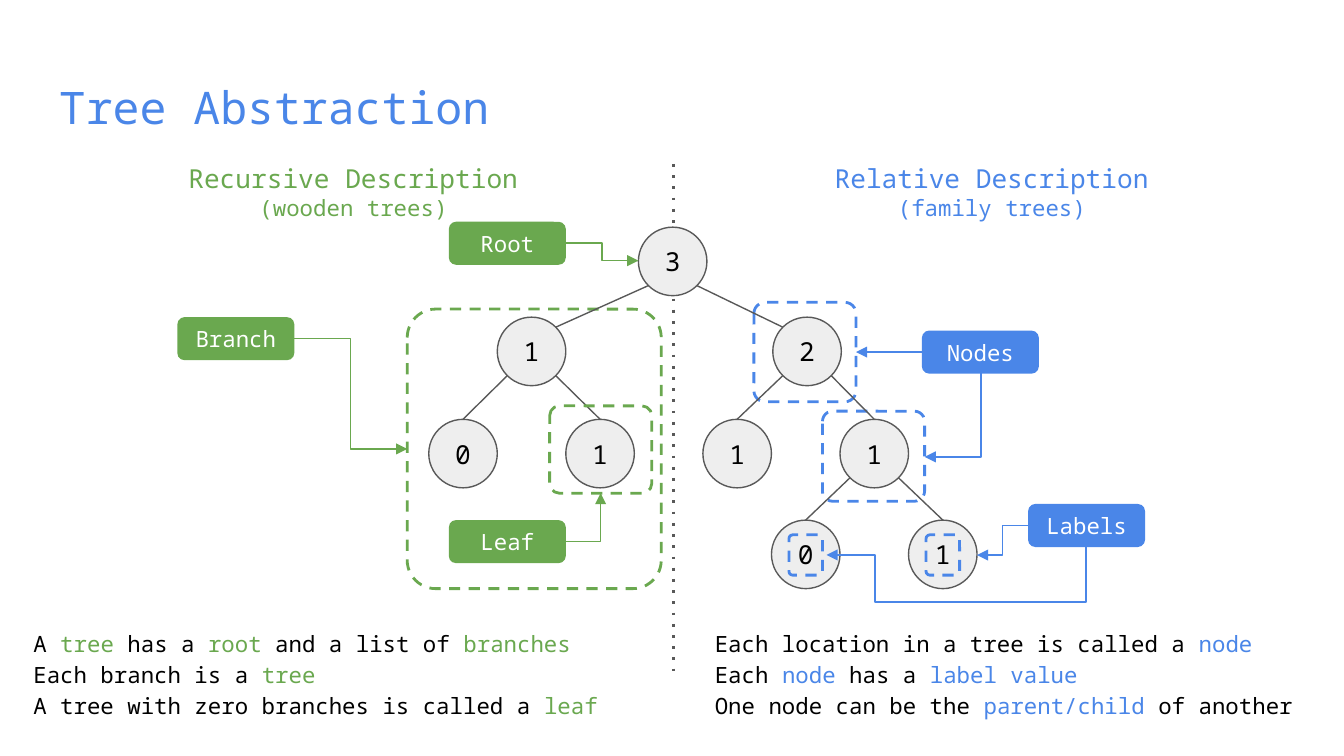
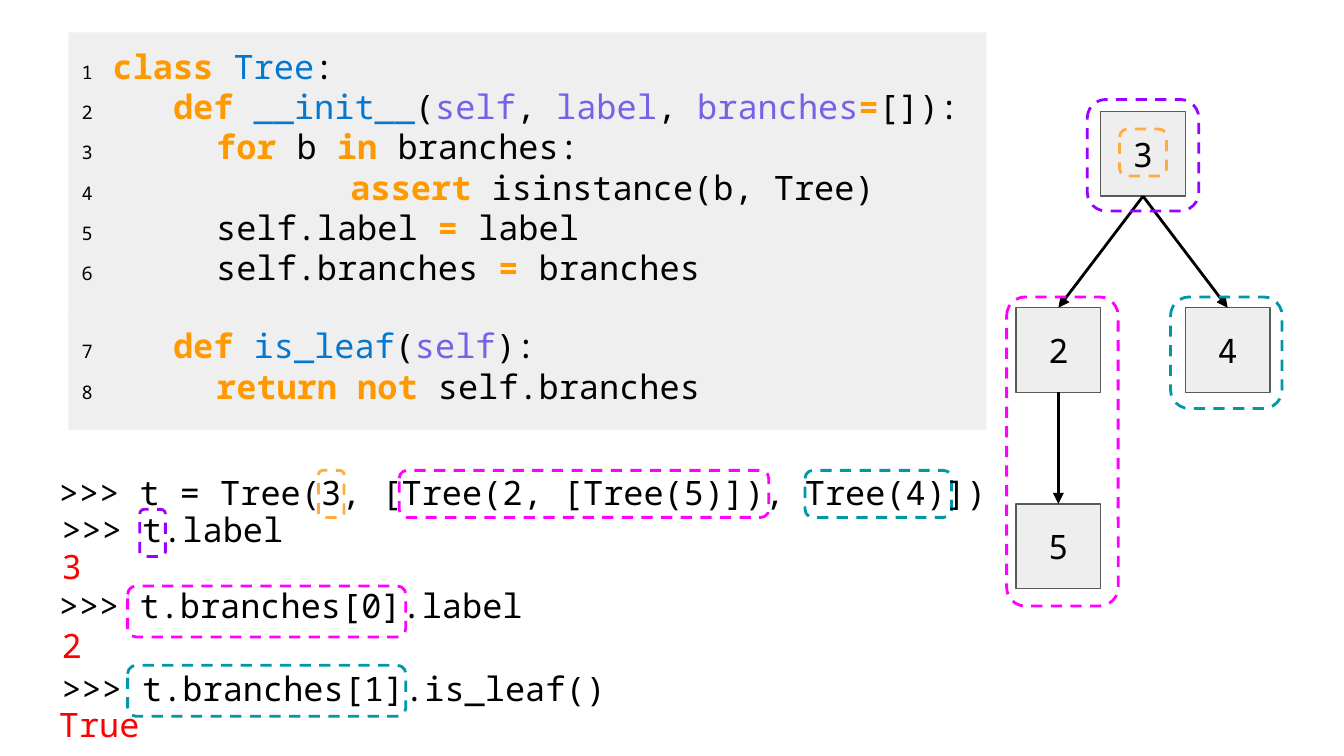
"""Builds two slides on trees: the abstraction and its Tree class."""
from dataclasses import dataclass

from lxml.etree import SubElement
from pptx import Presentation
from pptx.dml.color import RGBColor
from pptx.enum.shapes import MSO_CONNECTOR, MSO_SHAPE
from pptx.enum.text import MSO_ANCHOR, PP_ALIGN
from pptx.oxml.ns import qn
from pptx.util import Pt

EMU_PER_PX = 9144


@dataclass(frozen=True)
class Theme:
    """Colours, font and type sizes shared by the slides."""
    font: str = "Noto Sans Mono"
    ink: str = "000000"
    white: str = "FFFFFF"
    outline: str = "595959"
    node: str = "EEEEEE"
    panel: str = "EFEFEF"
    green: str = "6AA84F"
    blue: str = "4A86E8"
    orange: str = "FFAB40"
    magenta: str = "FF00FF"
    teal: str = "0097A7"
    purple: str = "9900FF"
    result: str = "FF0000"
    keyword: str = "FF9900"
    defined: str = "0378CE"
    parameter: str = "7A5FE7"
    title: int = 24
    code: int = 18
    heading: int = 14
    body: int = 12
    number: int = 10
    thin: float = 0.75
    thick: float = 1.5


T = Theme()

TREE = {
    "root": ("3", 475, 169),
    "left": ("1", 370, 236),
    "right": ("2", 575, 236),
    "left-left": ("0", 319, 312),
    "left-right": ("1", 421, 312),
    "right-left": ("1", 523, 312),
    "right-right": ("1", 625, 312),
    "deep-left": ("0", 574, 387),
    "deep-right": ("1", 676, 387),
}
EDGES = [
    ("root", "left"), ("root", "right"),
    ("left", "left-left"), ("left", "left-right"),
    ("right", "right-left"), ("right", "right-right"),
    ("right-right", "deep-left"), ("right-right", "deep-right"),
]
DIAMETER = 51

KEY, NAME, ARG, PLAIN = T.keyword, T.defined, T.parameter, T.ink
CLASS_CODE = [
    (23, [("class ", KEY), ("Tree", NAME), (":", PLAIN)]),
    (68, [("def ", KEY), ("__init__", NAME), ("(", PLAIN), ("self", ARG),
          (", ", PLAIN), ("label", ARG), (", ", PLAIN), ("branches", ARG),
          ("=", KEY), ("[]):", PLAIN)]),
    (100, [("for", KEY), (" b ", PLAIN), ("in", KEY), (" branches:", PLAIN)]),
    (200, [("assert", KEY), (" isinstance(b, Tree)", PLAIN)]),
    (100, [("self.label ", PLAIN), ("=", KEY), (" label", PLAIN)]),
    (100, [("self.branches ", PLAIN), ("=", KEY), (" branches", PLAIN)]),
]
LEAF_CODE = [
    (68, [("def ", KEY), ("is_leaf", NAME), ("(", PLAIN), ("self", ARG),
          ("):", PLAIN)]),
    (100, [("return not", KEY), (" self.branches", PLAIN)]),
]


def emu(*lengths):
    """Turn px lengths into EMU."""
    return [round(length * EMU_PER_PX) for length in lengths]


def rgb(color):
    """Return the colour object of a hex string."""
    return RGBColor.from_string(color)


def add_run(paragraph, text, size, color, bold=False):
    """Append one formatted run."""
    run = paragraph.add_run()
    run.text = text
    values = {"name": T.font, "size": Pt(size), "bold": bold}
    for name, value in values.items():
        setattr(run.font, name, value)
    run.font.color.rgb = rgb(color)


def fit_frame(frame, anchor=MSO_ANCHOR.TOP):
    """Give a text frame the common insets, wrap and anchor."""
    inset, = emu(10)
    values = {"margin_left": inset, "margin_right": inset, "margin_top": inset,
              "margin_bottom": inset, "word_wrap": True, "vertical_anchor": anchor}
    for name, value in values.items():
        setattr(frame, name, value)


def write(frame, lines, **layout):
    """Write lines, each a list of run tuples, as paragraphs."""
    for index, line in enumerate(lines):
        paragraph = frame.add_paragraph() if index else frame.paragraphs[0]
        for name, value in layout.items():
            setattr(paragraph, name, value)
        for run in line:
            add_run(paragraph, *run)


def add_text(slide, box, lines, **layout):
    """Add a text box."""
    frame = slide.shapes.add_textbox(*emu(*box)).text_frame
    fit_frame(frame)
    write(frame, lines, **layout)


def style_line(part, color, width, dash=None, arrow=None):
    """Set a line's colour, width, dash and the end that has an arrowhead."""
    part.line.color.rgb = rgb(color)
    part.line.width = Pt(width)
    ln = part._element.spPr.find(qn("a:ln"))
    if dash:
        SubElement(ln, qn("a:prstDash"), val=dash)
    if arrow:
        SubElement(ln, qn(f"a:{arrow}End"), type="triangle")


def add_box(slide, kind, box, fill=None, line=None, dash=None,
            width=T.thin, radius=None):
    """Add a preset shape with an optional fill and line."""
    shape = slide.shapes.add_shape(kind, *emu(*box))
    shape.shadow.inherit = False
    if radius is not None:
        shape.adjustments[0] = radius
    if fill:
        shape.fill.solid()
        shape.fill.fore_color.rgb = rgb(fill)
    else:
        shape.fill.background()
    if line:
        style_line(shape, line, width, dash)
    else:
        shape.line.fill.background()
    return shape


def add_caption(shape, text, size, color):
    """Centre one line of text in a shape."""
    fit_frame(shape.text_frame, MSO_ANCHOR.MIDDLE)
    write(shape.text_frame, [[(text, size, color)]], alignment=PP_ALIGN.CENTER)


def add_node(slide, kind, box, text, size):
    """Add a grey tree node."""
    node = add_box(slide, kind, box, T.node, T.outline)
    add_caption(node, text, size, T.ink)
    return node


def add_tag(slide, left, top, text, color):
    """Add a filled name tag."""
    tag = add_box(slide, MSO_SHAPE.ROUNDED_RECTANGLE, (left, top, 87, 32),
                  color, radius=0.167)
    add_caption(tag, text, T.body, T.white)
    return tag


def add_frame(slide, box, color, radius=0.167):
    """Add a dashed rounded frame."""
    return add_box(slide, MSO_SHAPE.ROUNDED_RECTANGLE, box, line=color,
                   dash="dash", width=T.thick, radius=radius)


def add_link(slide, start, end, color, width=T.thin, dash=None, arrow=None,
             kind=MSO_CONNECTOR.STRAIGHT):
    """Add a connector between two points."""
    link = slide.shapes.add_connector(kind, *emu(*start, *end))
    style_line(link, color, width, dash, arrow)
    SubElement(link._element.spPr, qn("a:effectLst"))
    return link


def add_joint(slide, source, source_side, target, target_side, color, width):
    """Add a straight arrow joined to two boxes."""
    link = add_link(slide, (0, 0), (0, 0), color, width, arrow="tail")
    link.begin_connect(source, source_side)
    link.end_connect(target, target_side)


def add_step(slide, start, end, color):
    """Add an elbow arrow with two bends."""
    add_link(slide, start, end, color, arrow="tail", kind=MSO_CONNECTOR.ELBOW)


def add_corner(slide, start, end, color, arrow):
    """Add an elbow with one bend that leaves its start sideways."""
    link = add_link(slide, start, end, color, arrow=arrow, kind=MSO_CONNECTOR.ELBOW)
    link._element.spPr.find(qn("a:prstGeom")).set("prst", "bentConnector2")


def add_route(slide, points, color):
    """Add an open arrow through several points."""
    builder = slide.shapes.build_freeform(*points[0], scale=EMU_PER_PX)
    builder.add_line_segments(points[1:], close=False)
    route = builder.convert_to_shape()
    route.shadow.inherit = False
    route.fill.background()
    style_line(route, color, T.thin, arrow="tail")


def add_tree(slide):
    """Draw the round nodes and the edges of the tree."""
    for label, left, top in TREE.values():
        add_node(slide, MSO_SHAPE.OVAL, (left, top, DIAMETER, DIAMETER), label, T.heading)
    radius, diagonal = DIAMETER / 2, 18
    for parent, child in EDGES:
        x, y = (place + radius for place in TREE[parent][1:])
        child_x, child_y = (place + radius for place in TREE[child][1:])
        side = 1 if child_x > x else -1
        end = (child_x, child_y - radius)
        if abs(child_x - x) > child_y - y:
            end = (child_x - side * diagonal, child_y - diagonal)
        add_link(slide, (x + side * diagonal, y + diagonal), end, T.outline)


def add_description(slide, left, heading, note, color):
    """Add a two-line column heading."""
    add_text(slide, (left, 111, 458, 53),
             [[(heading, T.heading, color)], [(note, T.body, color)]],
             alignment=PP_ALIGN.CENTER)


def add_facts(slide, left, width, facts, accent):
    """Add sentences whose words between asterisks take the accent."""
    lines = [[(part, T.body, accent if index % 2 else T.ink)
              for index, part in enumerate(fact.split("*")) if part]
             for fact in facts]
    add_text(slide, (left, 456, width, 107), lines, line_spacing=1.15)


def add_code(slide, box, first_number, code):
    """Add a panel of numbered code lines, each tabbed to its own column."""
    panel = add_box(slide, MSO_SHAPE.RECTANGLE, box, T.panel)
    fit_frame(panel.text_frame)
    lines = [[(str(number), T.number, T.ink), ("\t", T.code, T.ink)]
             + [(text, T.code, color, color == KEY) for text, color in runs]
             for number, (_, runs) in enumerate(code, first_number)]
    write(panel.text_frame, lines, alignment=PP_ALIGN.LEFT)
    for paragraph, (column, _) in zip(panel.text_frame.paragraphs, code):
        stops = SubElement(paragraph._p.get_or_add_pPr(), qn("a:tabLst"))
        SubElement(stops, qn("a:tab"), pos=str(emu(column)[0]), algn="l")


def build_abstraction(slide):
    """Build the slide with the two descriptions of a tree."""
    add_frame(slide, (303, 230, 189, 208), T.green, 0.112)
    add_tag(slide, 132, 236, "Branch", T.green)
    add_step(slide, (219, 252), (303, 334), T.green)
    parent_frame = add_frame(slide, (561, 225, 76, 74), T.blue, 0.112)
    add_frame(slide, (612, 306, 76, 67), T.blue, 0.112)
    nodes_tag = add_tag(slide, 686, 246, "Nodes", T.blue)
    add_joint(slide, nodes_tag, 1, parent_frame, 3, T.blue, T.thin)
    add_corner(slide, (688, 340), (730, 275), T.blue, "head")
    add_link(slide, (501, 122), (501, 501), T.outline, T.thick, "dot")
    add_text(slide, (34, 49, 932, 63), [[("Tree Abstraction", T.title, T.blue)]])
    add_tree(slide)
    add_description(slide, 34, "Recursive Description", "(wooden trees)", T.green)
    add_tag(slide, 334, 165, "Root", T.green)
    add_step(slide, (421, 181), (475, 194), T.green)
    add_frame(slide, (409, 302, 76, 65), T.green, 0.112)
    add_tag(slide, 334, 387, "Leaf", T.green)
    add_corner(slide, (421, 403), (447, 367), T.green, "tail")
    add_description(slide, 509, "Relative Description", "(family trees)", T.blue)
    add_facts(slide, 15, 464, ["A *tree* has a *root* and a list of *branches*",
                               "Each branch is a *tree*",
                               "A tree with zero branches is called a *leaf*"], T.green)
    add_facts(slide, 522, 478, ["Each location in a tree is called a *node*",
                                "Each *node* has a *label value*",
                                "One node can be the *parent/child* of another"], T.blue)
    for left in (689, 587):
        add_frame(slide, (left, 398, 25, 30), T.blue, 0.112)
    add_tag(slide, 765, 375, "Labels", T.blue)
    add_step(slide, (765, 391), (727, 413), T.blue)
    add_route(slide, [(808, 405), (808, 448), (651, 448), (651, 413), (615, 413)], T.blue)


def build_tree_class(slide):
    """Build the slide with the Tree class, a session and its tree."""
    root, first, second, leaf = [
        add_node(slide, MSO_SHAPE.RECTANGLE, (left, top, 63, 63), label, T.code)
        for label, left, top in [("3", 819, 83), ("2", 756, 229),
                                 ("4", 882, 229), ("5", 756, 375)]]
    for parent, child in [(root, first), (root, second), (first, leaf)]:
        add_joint(slide, parent, 2, child, 0, T.ink, T.thick)
    for color, *box in [
            (T.orange, 237, 350, 19, 35), (T.magenta, 297, 350, 275, 35),
            (T.teal, 599, 350, 109, 35), (T.purple, 104, 379, 19, 35),
            (T.magenta, 95, 436, 207, 38), (T.teal, 95, 495, 207, 38),
            (T.purple, 809, 74, 83, 83), (T.magenta, 749, 221, 83, 230),
            (T.teal, 871, 221, 83, 83), (T.orange, 833, 96, 35, 35)]:
        add_frame(slide, box, color)
    for text, color, *box in [
            (">>> t = Tree(3, [Tree(2, [Tree(5)]), Tree(4)])", T.ink, 34, 341, 725),
            (">>> t.label", T.ink, 36, 369, 207),
            ("3", T.result, 36, 396, 40),
            (">>> t.branches[0].label", T.ink, 34, 425, 367),
            ("2", T.result, 36, 455, 40),
            (">>> t.branches[1].is_leaf()", T.ink, 36, 487, 456),
            ("True", T.result, 34, 514, 100)]:
        add_text(slide, (*box, 56), [[(text, T.code, color)]])
    add_code(slide, (51, 24, 683, 211), 1, CLASS_CODE)
    add_code(slide, (51, 232, 683, 88), 7, LEAF_CODE)


def main():
    """Build and save the presentation."""
    deck = Presentation()
    deck.slide_width, = emu(1000)
    deck.slide_height = deck.slide_width * 9 // 16
    for build in (build_abstraction, build_tree_class):
        build(deck.slides.add_slide(deck.slide_layouts[6]))
    deck.save("out.pptx")


if __name__ == "__main__":
    main()
